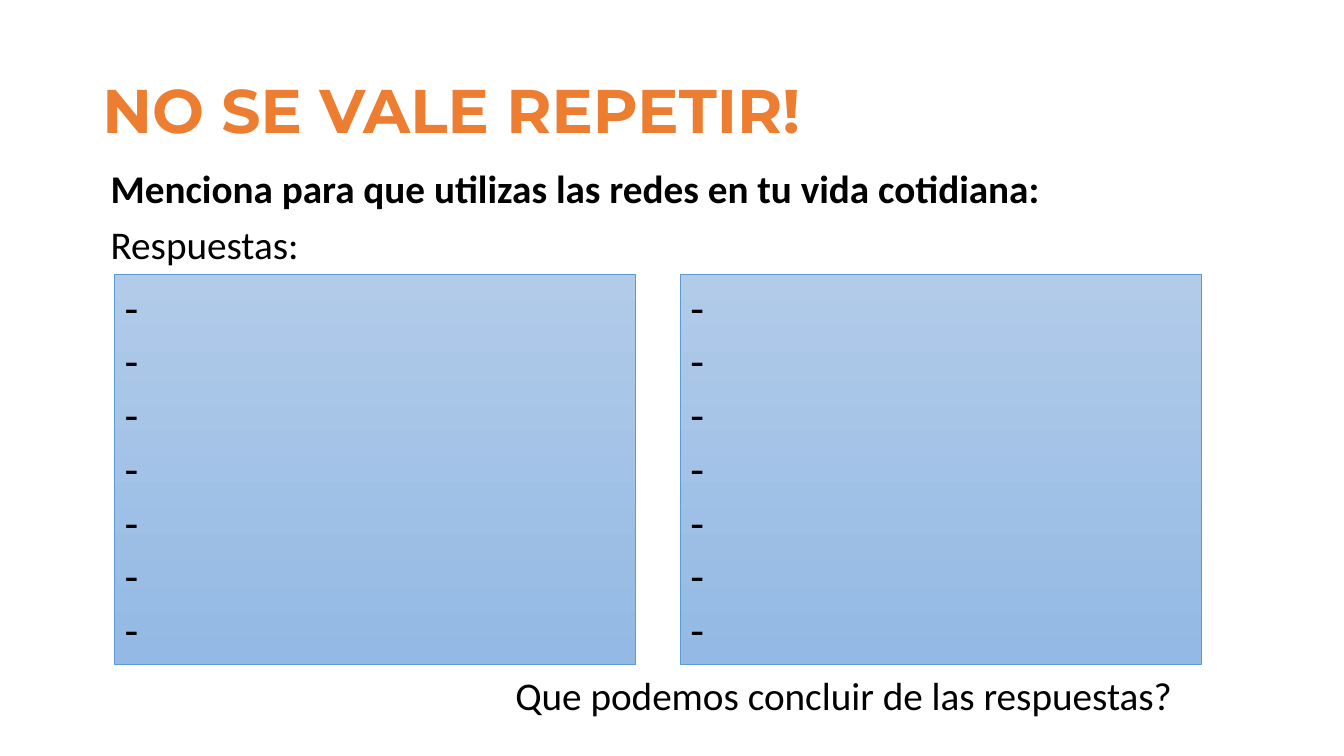
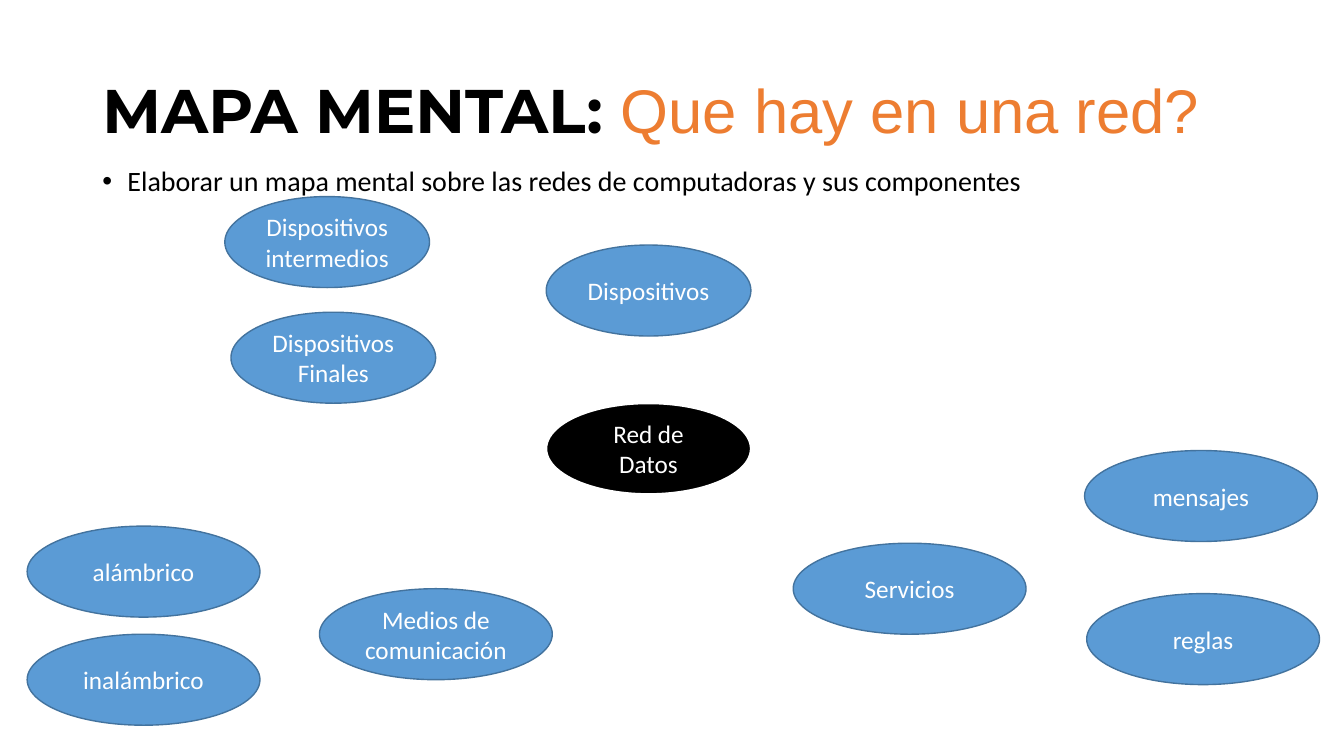
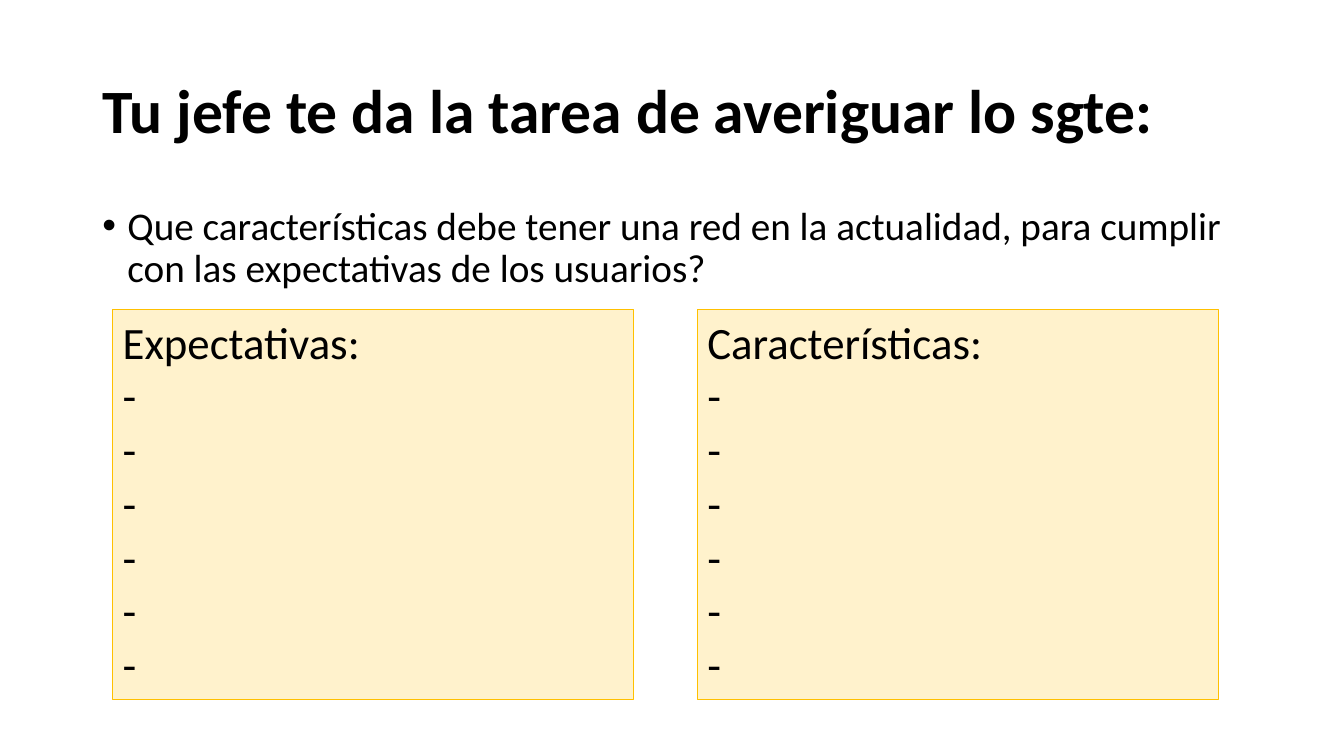
"""Build three class slides about data networks."""
from lxml import etree
from pptx import Presentation
from pptx.dml.color import RGBColor
from pptx.enum.shapes import MSO_SHAPE
from pptx.enum.text import MSO_ANCHOR, PP_ALIGN
from pptx.oxml.ns import qn
from pptx.util import Pt

RECT, OVAL = MSO_SHAPE.RECTANGLE, MSO_SHAPE.OVAL
TOP, MIDDLE = MSO_ANCHOR.TOP, MSO_ANCHOR.MIDDLE
LEFT, CENTER = PP_ALIGN.LEFT, PP_ALIGN.CENTER
BLACK = RGBColor(0x00, 0x00, 0x00)
WHITE = RGBColor(0xFF, 0xFF, 0xFF)
ORANGE = RGBColor(0xED, 0x7D, 0x31)
BLUE = RGBColor(0x5B, 0x9B, 0xD5)
NAVY = RGBColor(0x43, 0x73, 0x9E)
PALE = RGBColor(0xB1, 0xCB, 0xE9)
SKY = RGBColor(0x93, 0xB9, 0xE4)
CREAM = RGBColor(0xFF, 0xF2, 0xCC)
GOLD = RGBColor(0xFF, 0xC0, 0x00)

BODY = {"name": "Calibri", "size": Pt(28), "bold": False}
STRONG = BODY | {"bold": True}
SMALL = BODY | {"size": Pt(20)}
LABEL = BODY | {"size": Pt(18)}
LIST = BODY | {"size": Pt(32)}
PLAIN = BODY | {"name": "Arial", "size": Pt(44)}
HEAD = PLAIN | {"name": "Montserrat", "bold": True}
TASK = HEAD | {"name": "Calibri"}


def write(frame, paras, anchor=TOP, align=LEFT, pitch=0.9, gap=10):
    """Fill a frame; each paragraph is a list of (text, format, colour)."""
    frame.word_wrap = True
    frame.vertical_anchor = anchor
    for i, runs in enumerate(paras):
        para = frame.add_paragraph() if i else frame.paragraphs[0]
        para.alignment, para.line_spacing = align, pitch
        para.space_before = Pt(gap if i else 0)
        for text, style, tint in runs:
            run = para.add_run()
            run.text = text
            run.font.color.rgb = tint
            for key, val in style.items():
                setattr(run.font, key, val)


def draw(slide, kind, place, line, width):
    """Add a shape without shadow and with the given outline."""
    shape = slide.shapes.add_shape(kind, *map(Pt, place))
    shape.shadow.inherit = False
    shape.line.color.rgb = line
    shape.line.width = Pt(width)
    return shape


deck = Presentation()
deck.slide_width, deck.slide_height = Pt(960), Pt(540)

titles = [
    [("NO SE VALE REPETIR!", HEAD, ORANGE)],
    [("MAPA MENTAL: ", HEAD, BLACK), ("Que hay en una red?", PLAIN, ORANGE)],
    [("Tu jefe te da la tarea de averiguar lo sgte:", TASK, BLACK)],
]
slides = []
for title in titles:
    slide = deck.slides.add_slide(deck.slide_layouts[6])
    box = slide.shapes.add_textbox(Pt(66), Pt(29), Pt(828), Pt(104))
    write(box.text_frame, [title], MIDDLE)
    slides.append(slide)
quiz, mind, task = slides

box = quiz.shapes.add_textbox(Pt(72), Pt(117.4), Pt(828), Pt(78))
write(box.text_frame, [
    [("Menciona para que utilizas las redes en tu vida cotidiana:", STRONG, BLACK)],
    [("Respuestas:", BODY, BLACK)],
])
box = quiz.shapes.add_textbox(Pt(361), Pt(480), Pt(539), Pt(40))
write(box.text_frame, [[("Que podemos concluir de las respuestas?", BODY, BLACK)]])

points = [
    (mind, 116, 37, SMALL,
     "Elaborar un mapa mental sobre las redes de computadoras y sus componentes"),
    (task, 144, 75, BODY,
     "Que características debe tener una red en la actualidad, para cumplir "
     "con las expectativas de los usuarios?"),
]
for slide, top, high, style, text in points:
    box = slide.shapes.add_textbox(Pt(66), Pt(top), Pt(828), Pt(high))
    props = box.text_frame.paragraphs[0]._p.get_or_add_pPr()
    props.set("marL", str(Pt(18)))
    props.set("indent", str(Pt(-18)))
    etree.SubElement(props, qn("a:buFont")).set("typeface", "Arial")
    etree.SubElement(props, qn("a:buChar")).set("char", "•")
    write(box.text_frame, [[(text, style, BLACK)]])

panels = [
    (quiz, 82, 196, BLUE, "-"),
    (quiz, 486, 196, BLUE, "-"),
    (task, 80.6, 221, GOLD, "Expectativas:"),
    (task, 498.2, 221, GOLD, "Características:"),
]
for slide, left, top, line, first in panels:
    panel = draw(slide, RECT, (left, top, 372.2, 278.6), line, 0.5)
    if slide is quiz:
        panel.fill.gradient()
        panel.fill.gradient_angle = 270
        for stop, tint in zip(panel.fill.gradient_stops, (PALE, SKY)):
            stop.color.rgb = tint
    else:
        panel.fill.solid()
        panel.fill.fore_color.rgb = CREAM
    rows = [[(text, LIST, BLACK)] for text in [first] + ["-"] * 6]
    write(panel.text_frame, rows, pitch=1.0, gap=0)

SLIM, WIDE = 146.2, 166.3
nodes = [
    ("Red de Datos", 390.2, 288, SLIM),
    ("Dispositivos Finales", 165, 223, SLIM),
    ("Dispositivos intermedios", 160.6, 140.4, SLIM),
    ("Medios de comunicación", 228.2, 420.5, WIDE),
    ("mensajes", 774.7, 321.8, WIDE),
    ("reglas", 776.2, 424, WIDE),
    ("Servicios", 566.6, 388, WIDE),
    ("Dispositivos", 390.2, 175, SLIM),
    ("alámbrico", 19.4, 375.8, WIDE),
    ("inalámbrico", 19.4, 453, WIDE),
]
for i, (text, left, top, wide) in enumerate(nodes):
    fill, line, width = (BLUE, NAVY, 1) if i else (BLACK, WHITE, 1.5)
    node = draw(mind, OVAL, (left, top, wide, 65), line, width)
    node.fill.solid()
    node.fill.fore_color.rgb = fill
    write(node.text_frame, [[(text, LABEL, WHITE)]], MIDDLE, CENTER, 1.0)

deck.save("out.pptx")
